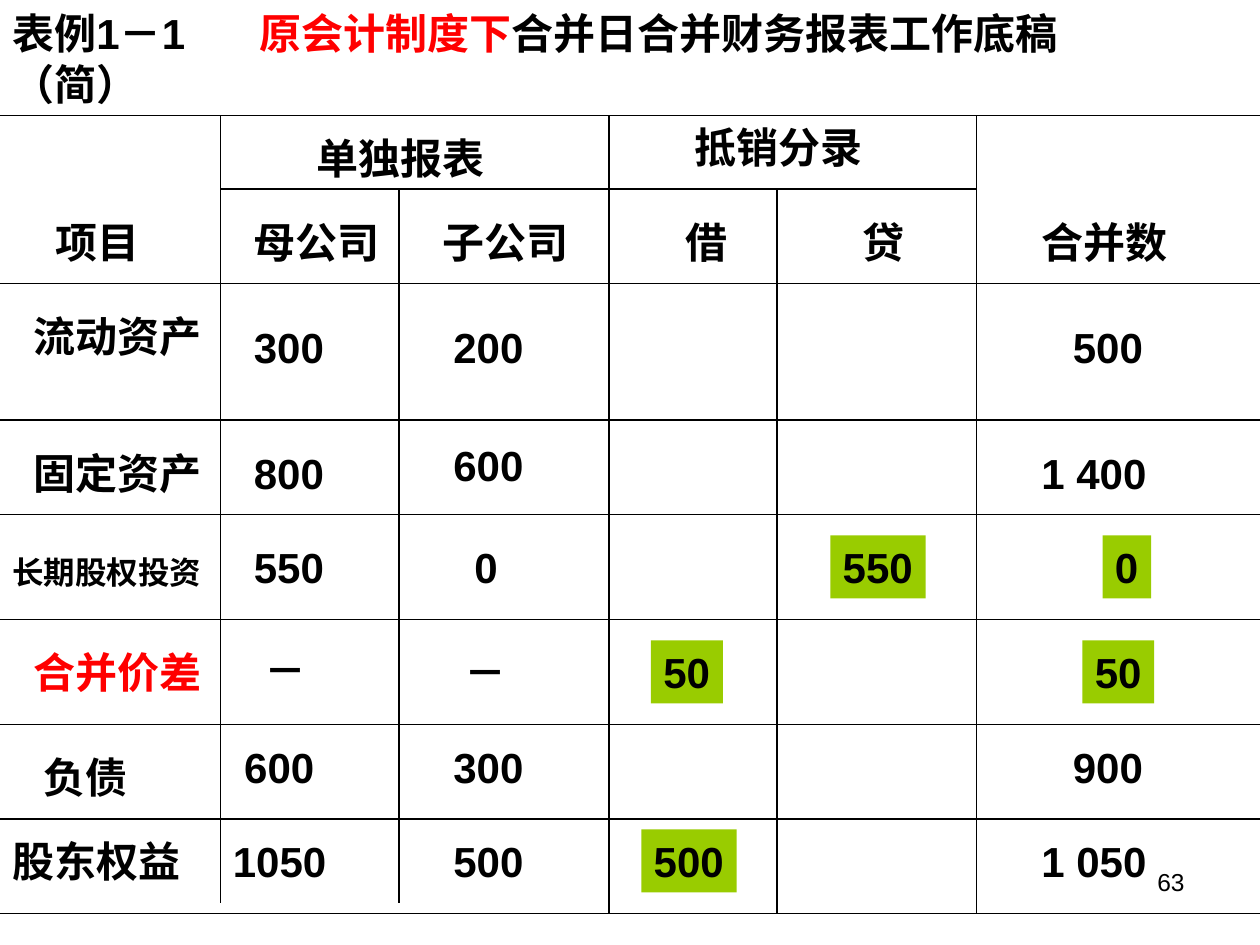
"""Build the consolidated working paper slide with its ruled grid and figures."""
import pptx
import pptx.dml.color
import pptx.enum.shapes
import pptx.enum.text
import pptx.oxml
import pptx.util
from pptx.util import Pt

BLACK = pptx.dml.color.RGBColor(0x00, 0x00, 0x00)
RED = pptx.dml.color.RGBColor(0xFF, 0x00, 0x00)
GREEN = pptx.dml.color.RGBColor(0x99, 0xCC, 0x00)
A_NS = 'xmlns:a="http://schemas.openxmlformats.org/drawingml/2006/main"'


def add_run(paragraph, text, color=BLACK, size=24, bold=True):
    run = paragraph.add_run()
    run.text = text
    run.font.name = "Arial"
    run.font.size = Pt(size)
    run.font.bold = bold
    run.font.color.rgb = color


def add_entry(text, left, top, color=BLACK, size=24, fill=None):
    ems = sum(1 if ord(c) > 255 else 0.28 if c == " " else 0.556 for c in text)
    bounds = Pt(left), Pt(top), Pt(ems * size + 14.4), Pt(size * 1.2 + 7.2)
    if fill is None:
        entry = slide.shapes.add_textbox(*bounds)
    else:
        entry = slide.shapes.add_shape(pptx.enum.shapes.MSO_SHAPE.RECTANGLE, *bounds)
        entry.shadow.inherit = False
        entry.fill.solid()
        entry.fill.fore_color.rgb = fill
        entry.line.fill.background()
    frame = entry.text_frame
    frame.word_wrap = False
    frame.auto_size = pptx.enum.text.MSO_AUTO_SIZE.SHAPE_TO_FIT_TEXT
    frame.vertical_anchor = pptx.enum.text.MSO_ANCHOR.TOP
    frame.paragraphs[0].alignment = pptx.enum.text.PP_ALIGN.LEFT
    add_run(frame.paragraphs[0], text, color, size)


deck = pptx.Presentation()
deck.slide_width, deck.slide_height = Pt(720), Pt(540)
slide = deck.slides.add_slide(deck.slide_layouts[6])

title = slide.shapes.add_textbox(Pt(0), Pt(0.7), Pt(696), Pt(65)).text_frame
title.word_wrap = True
title.vertical_anchor = pptx.enum.text.MSO_ANCHOR.MIDDLE
heading = title.paragraphs[0]
heading_props = heading._p.get_or_add_pPr()
heading_props.append(pptx.oxml.parse_xml(
    f'<a:tabLst {A_NS}><a:tab pos="{Pt(141)}" algn="l"/></a:tabLst>'))
add_run(heading, "表例1－1\t")
add_run(heading, "原会计制度下", RED)
add_run(heading, "合并日合并财务报表工作底稿")
heading.add_line_break()
add_run(heading, "（简）")

row_rules = [(0, y, 720, y) for y in (66, 162, 240, 294, 354, 414, 468, 522)]
header_rule = [(126, 108, 558, 108)]
column_rules = [
    (x, top, x, bottom)
    for x, top, bottom in ((126, 66, 516), (228, 108, 516), (348, 66, 522),
                           (444, 108, 522), (558, 66, 522))
]
for ends in row_rules + header_rule + column_rules:
    rule = slide.shapes.add_connector(
        pptx.enum.shapes.MSO_CONNECTOR.STRAIGHT, *(Pt(v) for v in ends))
    rule.line.color.rgb = BLACK
    rule.line.width = Pt(0.75)
    rule._element.spPr.append(pptx.oxml.parse_xml(f"<a:effectLst {A_NS}/>"))

for group, left, top in (("单独报表", 174, 72), ("抵销分录", 390, 66)):
    add_entry(group, left, top)
for column, left in (("项目", 24.5), ("母公司", 138), ("子公司", 246),
                     ("借", 384.5), ("贷", 486), ("合并数", 588)):
    add_entry(column, left, 120)

for item, left, top, color, size in (
    ("流动资产", 12, 174, BLACK, 24),
    ("固定资产", 12, 252, BLACK, 24),
    ("长期股权投资", 0, 312.5, BLACK, 18),
    ("合并价差", 12, 366, RED, 24),
    ("负债", 18, 426, BLACK, 24),
    ("股东权益", 0, 474, BLACK, 24),
):
    add_entry(item, left, top, color, size)

amounts = (
    (("300", 138, 180), ("200", 252, 180), ("500", 606, 180)),
    (("800", 138, 252), ("600", 252, 247.5), ("1 400", 588, 252)),
    (("550", 138, 306), ("0", 264, 306)),
    (("－", 144, 364.5), ("－", 258.5, 366)),
    (("600", 132.5, 420), ("300", 252, 420), ("900", 606, 420)),
    (("1050", 126, 474), ("500", 252, 474), ("1 050", 588, 474)),
)
for row in amounts:
    for amount, left, top in row:
        add_entry(amount, left, top)

for amount, left, top in (("500", 366.5, 474), ("550", 474.5, 306), ("50", 372, 366),
                          ("0", 630, 306), ("50", 618.5, 366)):
    add_entry(amount, left, top, fill=GREEN)

page_number = slide.shapes.add_textbox(Pt(516), Pt(492), Pt(168), Pt(37.5)).text_frame
page_number.word_wrap = True
page_number.paragraphs[0].alignment = pptx.enum.text.PP_ALIGN.RIGHT
add_run(page_number.paragraphs[0], "63", size=14, bold=False)

deck.save("out.pptx")
